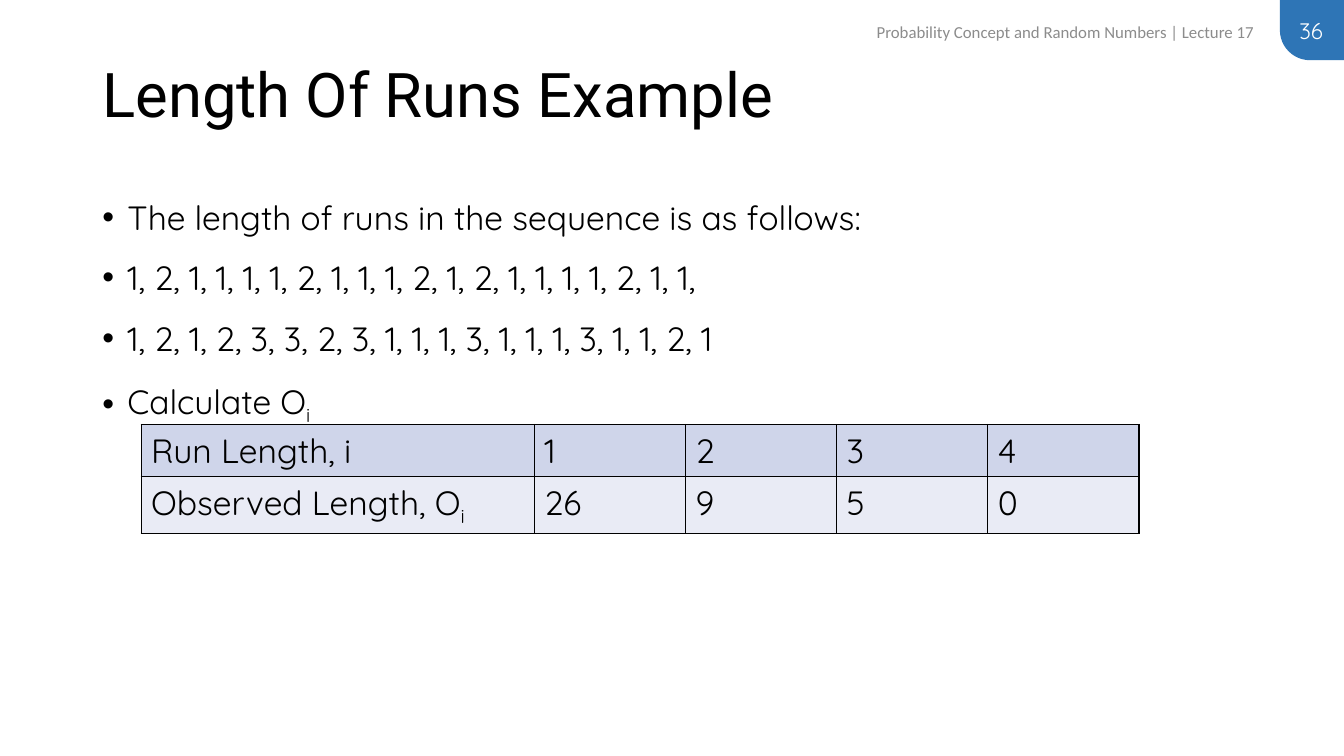
from lxml import etree
from pptx import Presentation
from pptx.dml.color import RGBColor
from pptx.enum import shapes, text
from pptx.oxml import ns
from pptx.util import Pt

# Content: a tuple holds a base text and its subscript
TITLE = "Length Of Runs Example"
HEADER = "Probability Concept and Random Numbers | Lecture 17"
PAGE = "36"
BULLETS = [
    "The length of runs in the sequence is as follows:",
    "1, 2, 1, 1, 1, 1, 2, 1, 1, 1, 2, 1, 2, 1, 1, 1, 1, 2, 1, 1,",
    "1, 2, 1, 2, 3, 3, 2, 3, 1, 1, 1, 3, 1, 1, 1, 3, 1, 1, 2, 1",
    ("Calculate O", "i"),
]
RUN_TABLE = [
    ["Run Length, i", "1", "2", "3", "4"],
    [("Observed Length, O", "i"), "26", "9", "5", "0"],
]

# Formats
BLACK = RGBColor(0x00, 0x00, 0x00)
WHITE = RGBColor(0xFF, 0xFF, 0xFF)
GRAY = RGBColor(0x8C, 0x8C, 0x8C)
BLUE = RGBColor(0x2E, 0x75, 0xB6)
ROW_FILLS = [RGBColor(0xCF, 0xD5, 0xEA), RGBColor(0xE9, 0xEB, 0xF5)]
TITLE_FONT = {"name": "Roboto", "size": Pt(44), "color": BLACK}
BODY_FONT = {"name": "Quicksand", "size": Pt(24), "color": BLACK}
HEADER_FONT = {"name": "Calibri", "size": Pt(12), "color": GRAY}
PAGE_FONT = {"name": "Quicksand", "size": Pt(16), "color": WHITE}
COLUMN_WIDTHS = [280.8] + [108] * 4
ROW_HEIGHTS = [37.2, 40.8]

presentation = Presentation()
presentation.slide_width, presentation.slide_height = Pt(960), Pt(540)
slide = presentation.slides.add_slide(presentation.slide_layouts[6])


def write(paragraph, content, font_format):
    parts = (content,) if isinstance(content, str) else content
    for index, part in enumerate(parts):
        run = paragraph.add_run()
        run.text = part
        for key, value in font_format.items():
            if key == "color":
                run.font.color.rgb = value
            else:
                setattr(run.font, key, value)
        if index:
            run.font._element.set("baseline", "-25000")


def add_text_frame(left, top, width, height, anchor=text.MSO_ANCHOR.MIDDLE):
    box = slide.shapes.add_textbox(Pt(left), Pt(top), Pt(width), Pt(height))
    box.text_frame.word_wrap = True
    box.text_frame.vertical_anchor = anchor
    return box.text_frame


def add_bullet(paragraph):
    properties = paragraph._p.get_or_add_pPr()
    properties.set("marL", str(Pt(18)))
    properties.set("indent", str(-Pt(18)))
    etree.SubElement(properties, ns.qn("a:buFont")).set("typeface", "Arial")
    etree.SubElement(properties, ns.qn("a:buChar")).set("char", "•")


def add_borders(cell):
    properties = cell._tc.get_or_add_tcPr()
    for index, side in enumerate(("lnL", "lnR", "lnT", "lnB")):
        line = etree.Element(ns.qn(f"a:{side}"), w=str(Pt(1)))
        fill = etree.SubElement(line, ns.qn("a:solidFill"))
        etree.SubElement(fill, ns.qn("a:srgbClr")).set("val", str(BLACK))
        properties.insert(index, line)


# Page number tab
tab = slide.shapes.add_shape(shapes.MSO_SHAPE.ROUND_1_RECTANGLE,
                             Pt(914.2), Pt(0), Pt(45.8), Pt(43))
tab.rotation = 180
tab.adjustments[0] = 0.5
tab.shadow.inherit = False
tab.fill.solid()
tab.fill.fore_color.rgb = BLUE
tab.line.fill.background()

# Body
body = add_text_frame(66, 122.4, 828, 387.4, text.MSO_ANCHOR.TOP)
for index, bullet in enumerate(BULLETS):
    paragraph = body.add_paragraph() if index else body.paragraphs[0]
    paragraph.line_spacing = 1.5
    add_bullet(paragraph)
    write(paragraph, bullet, BODY_FONT)

# Title
title = add_text_frame(66, 28.8, 828, 82).paragraphs[0]
title.line_spacing = 0.9
write(title, TITLE, TITLE_FONT)

# Header and page number
for content, bounds, font_format in [
    (HEADER, (579, 8.6, 324, 28.8), HEADER_FONT),
    (PAGE, (906, 7.2, 46, 28.8), PAGE_FONT),
]:
    paragraph = add_text_frame(*bounds).paragraphs[0]
    paragraph.alignment = text.PP_ALIGN.RIGHT
    write(paragraph, content, font_format)

# Run length table
table = slide.shapes.add_table(
    len(ROW_HEIGHTS), len(COLUMN_WIDTHS), Pt(100.8), Pt(303.1),
    Pt(sum(COLUMN_WIDTHS)), Pt(sum(ROW_HEIGHTS))).table
for column, width in zip(table.columns, COLUMN_WIDTHS):
    column.width = Pt(width)
for row, height, values, row_fill in zip(table.rows, ROW_HEIGHTS,
                                         RUN_TABLE, ROW_FILLS):
    row.height = Pt(height)
    for cell, value in zip(row.cells, values):
        cell.fill.solid()
        cell.fill.fore_color.rgb = row_fill
        add_borders(cell)
        write(cell.text_frame.paragraphs[0], value, BODY_FONT)

presentation.save("out.pptx")
